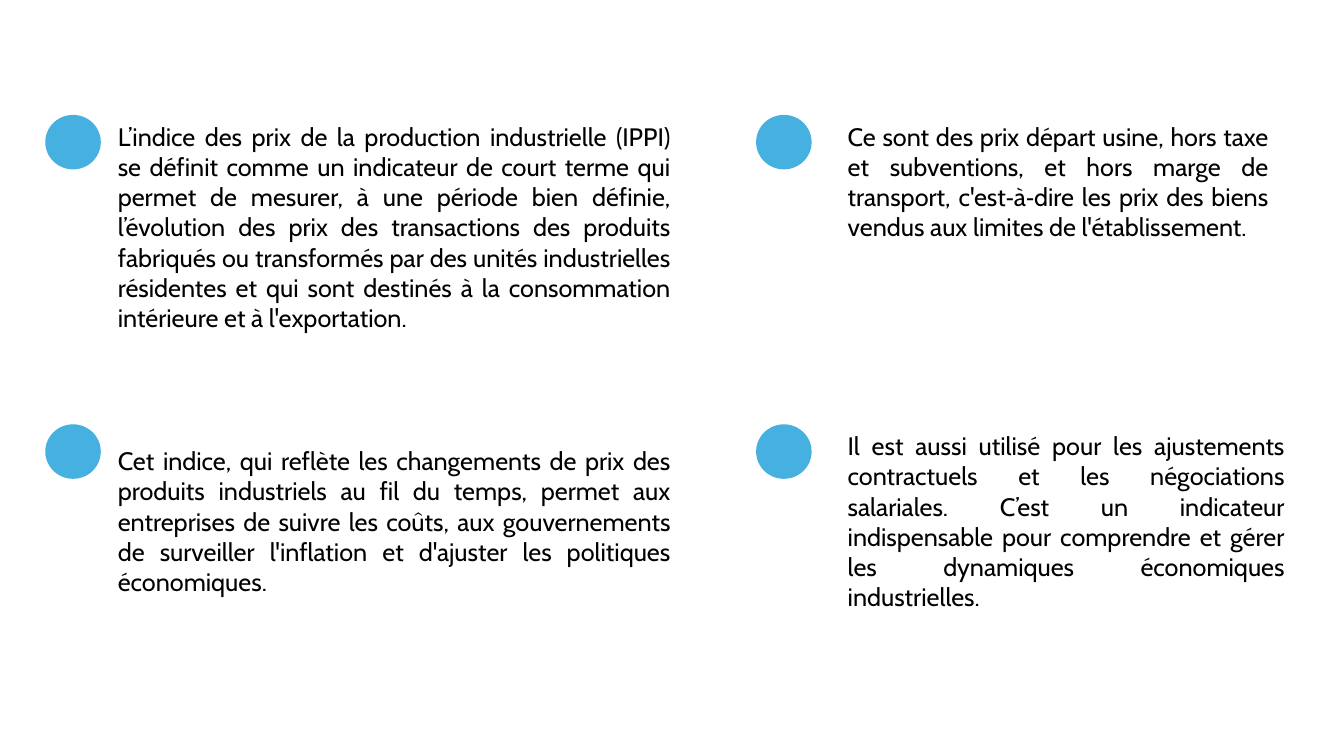
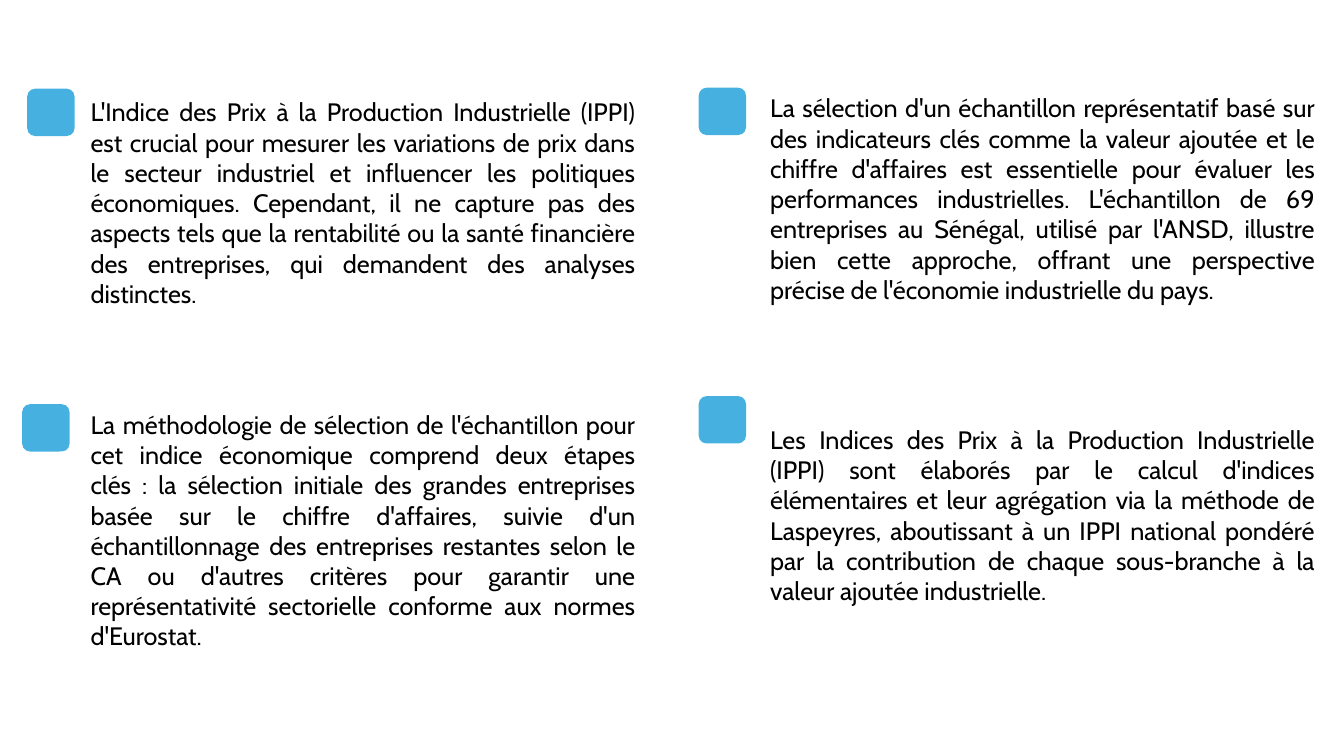
from dataclasses import dataclass

from pptx import Presentation
from pptx.dml.color import RGBColor
from pptx.enum.shapes import MSO_SHAPE
from pptx.enum.text import MSO_ANCHOR, MSO_AUTO_SIZE, PP_ALIGN
from pptx.slide import Slide
from pptx.util import Inches, Pt

OVAL = MSO_SHAPE.OVAL
ROUNDED = MSO_SHAPE.ROUNDED_RECTANGLE
JUSTIFY = PP_ALIGN.JUSTIFY
TOP = MSO_ANCHOR.TOP
FIT_TEXT = MSO_AUTO_SIZE.SHAPE_TO_FIT_TEXT
BLANK_LAYOUT = 6


@dataclass(frozen=True)
class Theme:
    font: str = "Cabin"
    body_size: int = 18
    text: RGBColor = RGBColor(0x00, 0x00, 0x00)
    accent: RGBColor = RGBColor(0x46, 0xB1, 0xE1)
    background: RGBColor = RGBColor(0xFF, 0xFF, 0xFF)


THEME = Theme()


@dataclass(frozen=True)
class MarkerStyle:
    """Shape and size (inches) of the markers on one slide."""
    geometry: MSO_SHAPE
    width: float
    height: float
    outline: float = 0  # points; 0 means no line


@dataclass(frozen=True)
class Point:
    """A marker and its paragraph; positions are (left, top) in inches."""
    marker: tuple[float, float]
    position: tuple[float, float]
    size: tuple[float, float]
    text: str


# Slide 1: definition and use of the index
CIRCLE = MarkerStyle(OVAL, 0.53, 0.52, outline=1.5)
LEFT_MARKER, RIGHT_MARKER = 0.46, 7.51
LEFT_TEXT, RIGHT_TEXT = 1.07, 8.31
UPPER, LOWER = 1.15, 4.22

DEFINITION = [
    Point((LEFT_MARKER, UPPER), (LEFT_TEXT, UPPER), (5.68, 2.22),
          "L’indice des prix de la production industrielle (IPPI) se définit comme un "
          "indicateur de court terme qui permet de mesurer, à une période bien définie, "
          "l’évolution des prix des transactions des produits fabriqués ou transformés "
          "par des unités industrielles résidentes et qui sont destinés à la "
          "consommation intérieure et à l'exportation."),
    Point((RIGHT_MARKER, UPPER), (RIGHT_TEXT, UPPER), (4.37, 1.62),
          "Ce sont des prix départ usine, hors taxe et subventions, et hors marge de "
          "transport, c'est‐à‐dire les prix des biens vendus aux limites de "
          "l'établissement."),
    Point((LEFT_MARKER, LOWER), (LEFT_TEXT, 4.37), (5.68, 1.62),
          "Cet indice, qui reflète les changements de prix des produits industriels au "
          "fil du temps, permet aux entreprises de suivre les coûts, aux gouvernements "
          "de surveiller l'inflation et d'ajuster les politiques économiques."),
    Point((RIGHT_MARKER, LOWER), (RIGHT_TEXT, LOWER), (4.53, 1.92),
          "Il est aussi utilisé pour les ajustements contractuels et les négociations "
          "salariales. C’est un indicateur indispensable pour comprendre et gérer les "
          "dynamiques économiques industrielles."),
]

# Slide 2: limits, sample and method
SQUARE = MarkerStyle(ROUNDED, 0.47, 0.47)
COLUMN_WIDTH = 5.6
LEFT_COLUMN, RIGHT_COLUMN = 0.8, 7.54
RIGHT_SQUARE = 6.93

METHOD = [
    Point((0.27, 0.88), (LEFT_COLUMN, 0.91), (COLUMN_WIDTH, 2.22),
          "L'Indice des Prix à la Production Industrielle (IPPI) est crucial pour "
          "mesurer les variations de prix dans le secteur industriel et influencer les "
          "politiques économiques. Cependant, il ne capture pas des aspects tels que la "
          "rentabilité ou la santé financière des entreprises, qui demandent des "
          "analyses distinctes."),
    Point((RIGHT_SQUARE, 0.87), (RIGHT_COLUMN, 0.87), (COLUMN_WIDTH, 2.52),
          "La sélection d'un échantillon représentatif basé sur des indicateurs clés "
          "comme la valeur ajoutée et le chiffre d'affaires est essentielle pour évaluer "
          "les performances industrielles. L'échantillon de 69 entreprises au Sénégal, "
          "utilisé par l'ANSD, illustre bien cette approche, offrant une perspective "
          "précise de l'économie industrielle du pays."),
    Point((0.22, 4.01), (LEFT_COLUMN, 4.01), (COLUMN_WIDTH, 2.83),
          "La méthodologie de sélection de l'échantillon pour cet indice économique "
          "comprend deux étapes clés : la sélection initiale des grandes entreprises "
          "basée sur le chiffre d'affaires, suivie d'un échantillonnage des entreprises "
          "restantes selon le CA ou d'autres critères pour garantir une "
          "représentativité sectorielle conforme aux normes d'Eurostat."),
    Point((RIGHT_SQUARE, 3.93), (RIGHT_COLUMN, 4.16), (COLUMN_WIDTH, 1.92),
          "Les Indices des Prix à la Production Industrielle (IPPI) sont élaborés par le "
          "calcul d'indices élémentaires et leur agrégation via la méthode de Laspeyres, "
          "aboutissant à un IPPI national pondéré par la contribution de chaque "
          "sous-branche à la valeur ajoutée industrielle."),
]


def add_text(slide: Slide, text: str, *, position: tuple[float, float],
             size: tuple[float, float], font_size: int = THEME.body_size,
             color: RGBColor = THEME.text, align: PP_ALIGN = JUSTIFY) -> None:
    box = slide.shapes.add_textbox(*map(Inches, position + size))
    frame = box.text_frame
    frame.word_wrap = True
    frame.auto_size = FIT_TEXT
    frame.vertical_anchor = TOP
    paragraph = frame.paragraphs[0]
    paragraph.alignment = align
    run = paragraph.add_run()
    run.text = text
    run.font.name = THEME.font
    run.font.size = Pt(font_size)
    run.font.color.rgb = color


def add_marker(slide: Slide, style: MarkerStyle, position: tuple[float, float]) -> None:
    left, top = map(Inches, position)
    shape = slide.shapes.add_shape(
        style.geometry, left, top, Inches(style.width), Inches(style.height))
    shape.shadow.inherit = False
    shape.fill.solid()
    shape.fill.fore_color.rgb = THEME.accent
    if style.outline:
        shape.line.color.rgb = THEME.accent
        shape.line.width = Pt(style.outline)
    else:
        shape.line.fill.background()


def add_points_slide(presentation: Presentation, style: MarkerStyle,
                     points: list[Point]) -> None:
    slide = presentation.slides.add_slide(presentation.slide_layouts[BLANK_LAYOUT])
    slide.background.fill.solid()
    slide.background.fill.fore_color.rgb = THEME.background
    for point in points:
        add_marker(slide, style, point.marker)
        add_text(slide, point.text, position=point.position, size=point.size)


def main() -> None:
    presentation = Presentation()
    presentation.slide_width = Inches(13.33)
    presentation.slide_height = Inches(7.5)
    add_points_slide(presentation, CIRCLE, DEFINITION)
    add_points_slide(presentation, SQUARE, METHOD)
    presentation.save("out.pptx")


if __name__ == "__main__":
    main()
